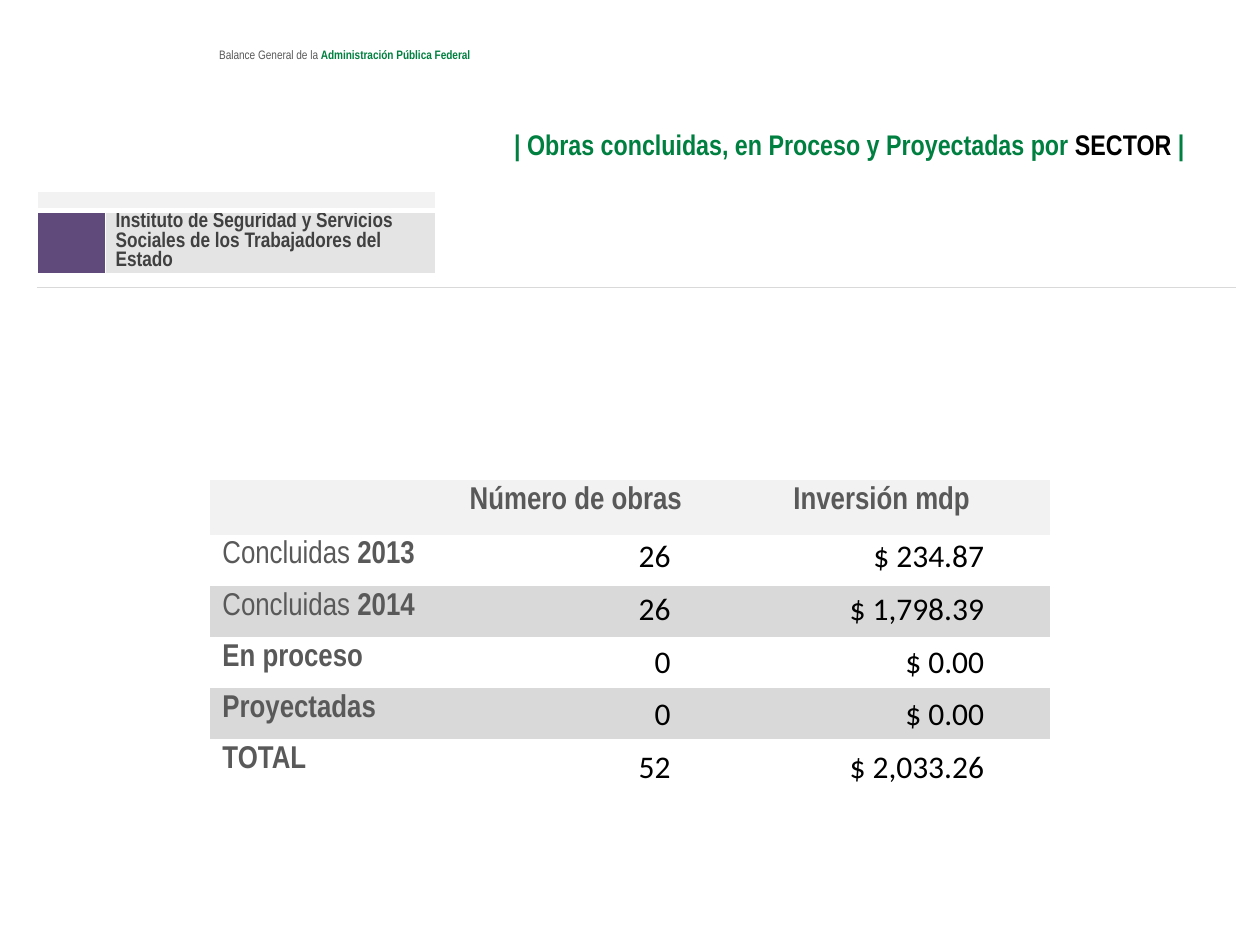
from lxml import etree
from pptx import Presentation, util as u
from pptx.dml import color
from pptx.enum import text
from pptx.oxml import ns

COLORS = {"green": "008040", "gray": "595959", "dark": "404040", "black": "000000",
          "white": "FFFFFF", "purple": "604A7B", "pale": "F2F2F2", "label": "E4E4E4",
          "band": "D9D9D9"}
NARROW, PLAIN = "Arial Narrow", "Calibri"
NO_STYLE = "{2D5ABB26-0587-4C30-8999-92F81FD0307C}"

# Runs are (words, colour, bold)
HEADER = [("Balance General de la ", "gray", False),
          ("Administración Pública Federal", "green", True)]
TITLE = [("| Obras concluidas, en Proceso y Proyectadas por ", "green", True),
         ("SECTOR ", "black", True), ("|", "green", True)]
INSTITUTE = [("Instituto de Seguridad y Servicios Sociales de los Trabajadores del Estado",
              "dark", True)]
COLUMNS = ["Número de obras", "Inversión mdp"]
WORKS = [  # plain part, bold part, number of works, investment
    ("Concluidas ", "2013", "26", "$ 234.87"),
    ("Concluidas ", "2014", "26", "$ 1,798.39"),
    ("", "En proceso", "0", "$ 0.00"),
    ("", "Proyectadas", "0", "$ 0.00"),
    ("", "TOTAL", "52", "$ 2,033.26"),
]
FRAME_COLUMNS, FRAME_ROWS = [1.37, 6.65, 16.13], [0.38, 1.27, 0.28, 12.7]
FRAME_FILLS = {(0, 0): "pale", (1, 0): "purple", (1, 1): "label",
               (2, 0): "white", (2, 2): "white"}
WORK_COLUMNS, WORK_ROWS = [4.6, 5.56, 6.77], [1.1] + [1.03] * len(WORKS)
VALUE_COLUMNS = [(9.53, 4.24), (15.62, 4.47)]  # left, width
VALUE_TOP, VALUE_PITCH = 10.69, 1.06


def write(para, runs, size, font=NARROW, align=text.PP_ALIGN.LEFT, spacing=None):
    para.alignment = align
    if spacing:
        para.line_spacing = spacing
    for words, tint, bold in runs:
        span = para.add_run()
        span.text = words
        span.font.name, span.font.size, span.font.bold = font, u.Pt(size), bold
        span.font.color.rgb = color.RGBColor.from_string(COLORS[tint])


def add_text(page, place, runs, size, **style):
    box = page.shapes.add_textbox(*map(u.Cm, place))
    box.text_frame.word_wrap = True
    write(box.text_frame.paragraphs[0], runs, size, **style)


def add_grid(page, left, top, widths, heights):
    """Add a table without style or banding."""
    frame = page.shapes.add_table(len(heights), len(widths), u.Cm(left), u.Cm(top),
                                  u.Cm(sum(widths)), u.Cm(sum(heights)))
    grid = frame.table
    grid.first_row = grid.horz_banding = False
    next(frame.element.iter(ns.qn("a:tableStyleId"))).text = NO_STYLE
    for column, width in zip(grid.columns, widths):
        column.width = u.Cm(width)
    for row, height in zip(grid.rows, heights):
        row.height = u.Cm(height)
    return grid


def fill_cell(cell, tint):
    if tint:
        cell.fill.solid()
        cell.fill.fore_color.rgb = color.RGBColor.from_string(COLORS[tint])
    else:
        cell.fill.background()


def set_borders(cell, borders):
    """Draw (side, colour, points) borders, given in the order L, R, T, B."""
    properties = cell._tc.get_or_add_tcPr()
    for index, (side, tint, points) in enumerate(borders):
        line = etree.Element(ns.qn(f"a:ln{side}"), w=str(u.Pt(points)))
        solid = etree.SubElement(line, ns.qn("a:solidFill"))
        etree.SubElement(solid, ns.qn("a:srgbClr"), val=COLORS[tint])
        properties.insert(index, line)


def shrink_empty(cell):
    """Keep an empty cell from stretching its thin row."""
    cell.margin_top = cell.margin_bottom = 0
    etree.SubElement(cell.text_frame.paragraphs[0]._p, ns.qn("a:endParaRPr"), sz="100")


def add_frame(page):
    grid = add_grid(page, 0.76, 3.86, FRAME_COLUMNS, FRAME_ROWS)
    last = len(FRAME_ROWS) - 1
    for row in range(len(FRAME_ROWS)):
        for column in range(len(FRAME_COLUMNS)):
            cell = grid.cell(row, column)
            fill_cell(cell, FRAME_FILLS.get((row, column)))
            if (row, column) != (1, 1):
                shrink_empty(cell)
            inner = 0.5 if row == 1 else 1
            above = ("T", "band", 0.25) if row == last else ("T", "white", 1)
            below = [("B", "white", 3), ("B", "white", 1), ("B", "band", 0.25),
                     ("B", "white", 1)][row]
            set_borders(cell, [("L", "white", inner), ("R", "white", inner), above, below])
    for row, end in ((0, 1), (2, 1), (3, 2)):
        grid.cell(row, 0).merge(grid.cell(row, end))
    name = grid.cell(1, 1)
    name.margin_left = name.margin_right = u.Cm(0.2)
    name.margin_top = name.margin_bottom = 0
    name.vertical_anchor = text.MSO_ANCHOR.MIDDLE
    write(name.text_frame.paragraphs[0], INSTITUTE, 12, spacing=u.Pt(11))


def add_works(page):
    grid = add_grid(page, 4.23, 9.68, WORK_COLUMNS, WORK_ROWS)
    for row in range(len(WORK_ROWS)):
        tint = "pale" if row == 0 else "band" if row % 2 == 0 else None
        for column in range(len(WORK_COLUMNS)):
            fill_cell(grid.cell(row, column), tint)
    for column, heading in enumerate(COLUMNS, 1):
        write(grid.cell(0, column).text_frame.paragraphs[0], [(heading, "gray", True)], 18,
              align=text.PP_ALIGN.CENTER)
    for index, (plain, strong, *values) in enumerate(WORKS):
        runs = [run for run in ((plain, "gray", False), (strong, "gray", True)) if run[0]]
        write(grid.cell(index + 1, 0).text_frame.paragraphs[0], runs, 18)
        top = VALUE_TOP + index * VALUE_PITCH
        for (left, width), value in zip(VALUE_COLUMNS, values):
            add_text(page, (left, top, width, 1.02), [(value, "black", False)], 18,
                     font=PLAIN, align=text.PP_ALIGN.RIGHT)


def main():
    deck = Presentation()
    deck.slide_width, deck.slide_height = u.Cm(25.4), u.Cm(19.05)
    page = deck.slides.add_slide(deck.slide_layouts[5])
    add_text(page, (4.17, 0.89, 11.4, 0.51), HEADER, 7, spacing=0.8)
    add_frame(page)
    title = page.shapes.title
    title.left, title.top, title.width, title.height = map(u.Cm, (1.27, 2.31, 22.86, 1.09))
    title.text_frame.vertical_anchor = text.MSO_ANCHOR.MIDDLE
    write(title.text_frame.paragraphs[0], TITLE, 16.2, align=text.PP_ALIGN.RIGHT, spacing=1.15)
    add_works(page)
    deck.save("out.pptx")


if __name__ == "__main__":
    main()
